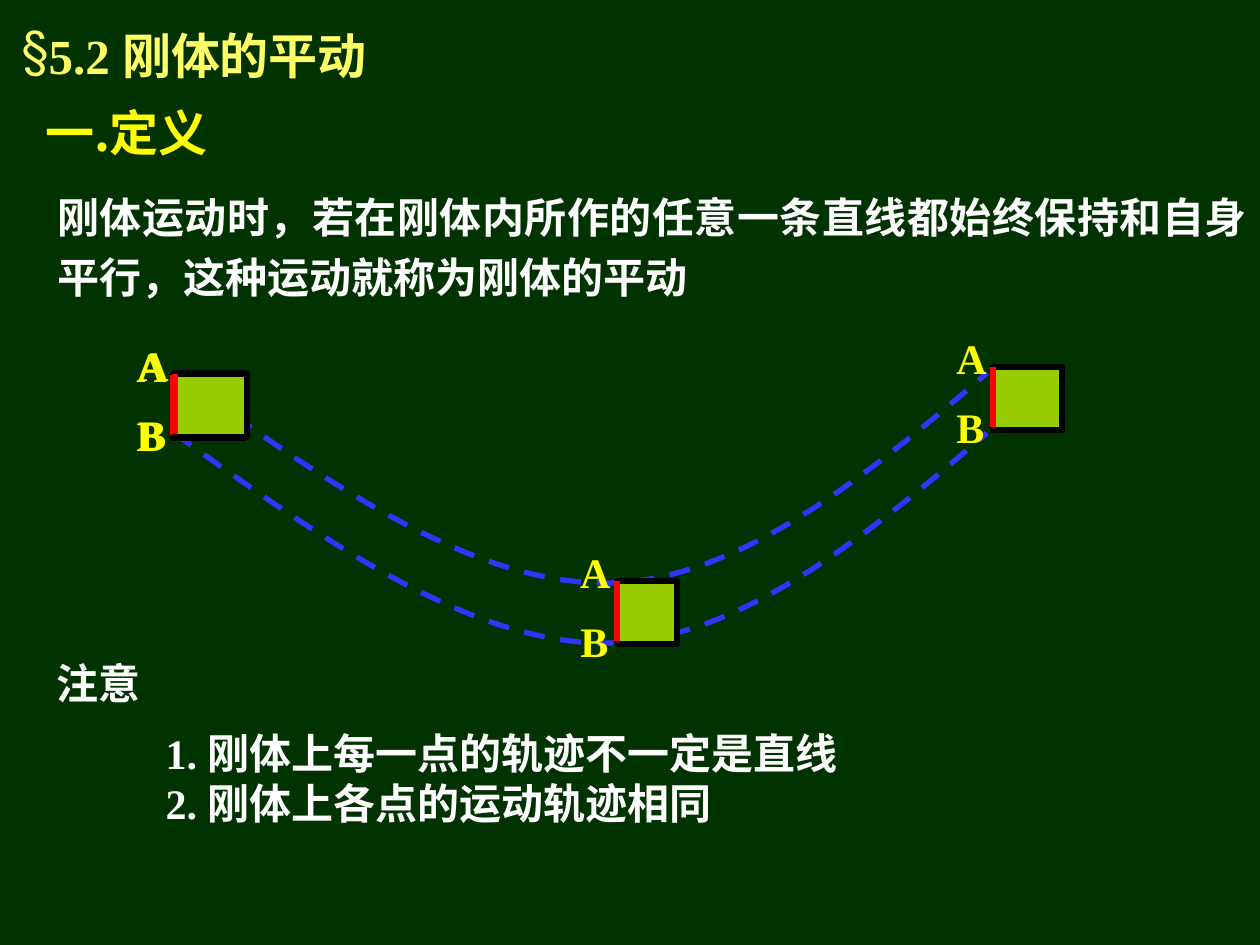
from lxml import etree
from pptx import Presentation
from pptx.dml.color import RGBColor
from pptx.enum.dml import MSO_LINE
from pptx.enum.shapes import MSO_CONNECTOR, MSO_SHAPE
from pptx.enum.text import MSO_ANCHOR, MSO_AUTO_SIZE, PP_ALIGN
from pptx.oxml.ns import qn
from pptx.util import Emu, Pt

SCALE = 914400 / 126
DARK_GREEN = RGBColor(0x00, 0x33, 0x00)
PALE_YELLOW = RGBColor(0xFF, 0xFF, 0x66)
YELLOW = RGBColor(0xFF, 0xFF, 0x00)
WHITE = RGBColor(0xFF, 0xFF, 0xFF)
LIME = RGBColor(0x99, 0xCC, 0x00)
BLACK = RGBColor(0x00, 0x00, 0x00)
BLUE = RGBColor(0x33, 0x33, 0xFF)
RED = RGBColor(0xFF, 0x00, 0x00)
LATIN = "Times New Roman"
CHINESE = "Noto Sans CJK SC"
LEFT, CENTER, JUSTIFY = PP_ALIGN.LEFT, PP_ALIGN.CENTER, PP_ALIGN.JUSTIFY
TOP, MIDDLE = MSO_ANCHOR.TOP, MSO_ANCHOR.MIDDLE
NO_AUTOSIZE = MSO_AUTO_SIZE.NONE
RECTANGLE = MSO_SHAPE.RECTANGLE
STRAIGHT = MSO_CONNECTOR.STRAIGHT
DASH = MSO_LINE.DASH


def px(length):
    return Emu(round(length * SCALE))


def place(shape, box):
    for name, length in zip(("left", "top", "width", "height"), box):
        setattr(shape, name, px(length))


def write(shape, lines, size=24, color=WHITE, font=LATIN, align=LEFT, wrap=False,
          anchor=TOP, spacing=1.0, bullet=None):
    frame = shape.text_frame
    frame_format = {"word_wrap": wrap, "auto_size": NO_AUTOSIZE, "vertical_anchor": anchor}
    para_format = {"alignment": align, "line_spacing": spacing, "space_before": Pt(0)}
    font_format = {"name": font, "size": Pt(size), "bold": True}
    for name, value in frame_format.items():
        setattr(frame, name, value)
    for index, line in enumerate(lines):
        para = frame.add_paragraph() if index else frame.paragraphs[0]
        for name, value in para_format.items():
            setattr(para, name, value)
        properties = para._p.get_or_add_pPr()
        properties.set("marL", "0")
        properties.set("indent", "0")
        if bullet:
            etree.SubElement(properties, qn("a:buChar")).set("char", bullet)
        else:
            etree.SubElement(properties, qn("a:buNone"))
        span = para.add_run()
        span.text = line
        for name, value in font_format.items():
            setattr(span.font, name, value)
        span.font.color.rgb = color
        east_asian = etree.SubElement(span._r.get_or_add_rPr(), qn("a:ea"))
        east_asian.set("typeface", CHINESE)


def add_text(parent, box, text, **formats):
    shape = parent.add_textbox(*map(px, box))
    write(shape, [text], **formats)


def set_line(line, color):
    line.color.rgb = color
    line.width = Pt(3)


def draw_square(parent, box):
    square = parent.add_shape(RECTANGLE, *map(px, box))
    square.shadow.inherit = False
    square.fill.solid()
    square.fill.fore_color.rgb = LIME
    set_line(square.line, BLACK)


def draw_rigid_body(page, box):
    left, top = box[:2]
    group = page.shapes.add_group_shape().shapes
    draw_square(group, box)
    add_text(group, (left - 48, top - 41, 53, 63), "A", color=YELLOW, align=CENTER)
    add_text(group, (left - 49, top + 28, 53, 63), "B", color=YELLOW, align=CENTER)
    edge = group.add_connector(STRAIGHT, px(left), px(top), px(left), px(top + 60))
    set_line(edge.line, RED)
    etree.SubElement(edge._element.spPr, qn("a:effectLst"))


def draw_trajectory(parent, box):
    left, top, width, depth = box
    fractions = ((0, 0), (0.18, 0.5), (0.36, 1), (0.53, 1), (0.69, 1), (0.85, 0.5), (1, 0))
    points = [(px(left + x * width), px(top + y * depth)) for x, y in fractions]
    builder = parent.build_freeform(*points[0], scale=1.0)
    builder.add_line_segments(points[1:], close=False)
    curve = builder.convert_to_shape()
    curve.shadow.inherit = False
    curve.fill.background()
    set_line(curve.line, BLUE)
    curve.line.dash_style = DASH
    outline = curve._element.spPr.find(".//" + qn("a:path"))
    segments = outline.findall(qn("a:lnTo"))
    for start in range(0, len(segments), 3):
        bezier = etree.SubElement(outline, qn("a:cubicBezTo"))
        for segment in segments[start:start + 3]:
            bezier.append(segment[0])
            outline.remove(segment)


def draw_headings(page):
    title = page.shapes.title
    place(title, (9, 14, 392, 81))
    write(title, ["5.2 刚体的平动"], size=28, color=PALE_YELLOW, anchor=MIDDLE, bullet="§")
    add_text(page.shapes, (0, 96, 253, 72), "一.定义", size=28, color=YELLOW,
             font=CHINESE, align=CENTER)
    add_text(page.shapes, (45, 175, 1215, 134),
             "刚体运动时，若在刚体内所作的任意一条直线都始终保持和自身平行，这种运动就称为刚体的平动",
             align=JUSTIFY, wrap=True, spacing=1.2)


def draw_motion(page, box):
    left, top, width, depth = box
    draw_square(page.shapes, (left, top, 73, 63))
    group = page.shapes.add_group_shape().shapes
    for offset in (0, 60):
        draw_trajectory(group, (left, top + offset, width, depth))
    for x, y, side in ((443, 208, 60), (819, -6, 69), (-1, 2, 72), (1, 1, 72)):
        draw_rigid_body(page, (left + x, top + y, side, 63))


def draw_notes(page, box):
    left, top, width, height = box
    add_text(page.shapes, (left, top, 108, 63), "注意", align=CENTER)
    body = page.placeholders[1]
    place(body, (left + 108, top + 70, width - 108, height - 70))
    write(body, ["1. 刚体上每一点的轨迹不一定是直线", "2. 刚体上各点的运动轨迹相同"],
          align=JUSTIFY, wrap=True)


def main():
    deck = Presentation()
    deck.slide_width, deck.slide_height = px(1260), px(945)
    page = deck.slides.add_slide(deck.slide_layouts[1])
    page.background.fill.solid()
    page.background.fill.fore_color.rgb = DARK_GREEN
    draw_headings(page)
    draw_motion(page, (174, 373, 813, 210))
    draw_notes(page, (45, 651, 808, 232))
    deck.save("out.pptx")


if __name__ == "__main__":
    main()
